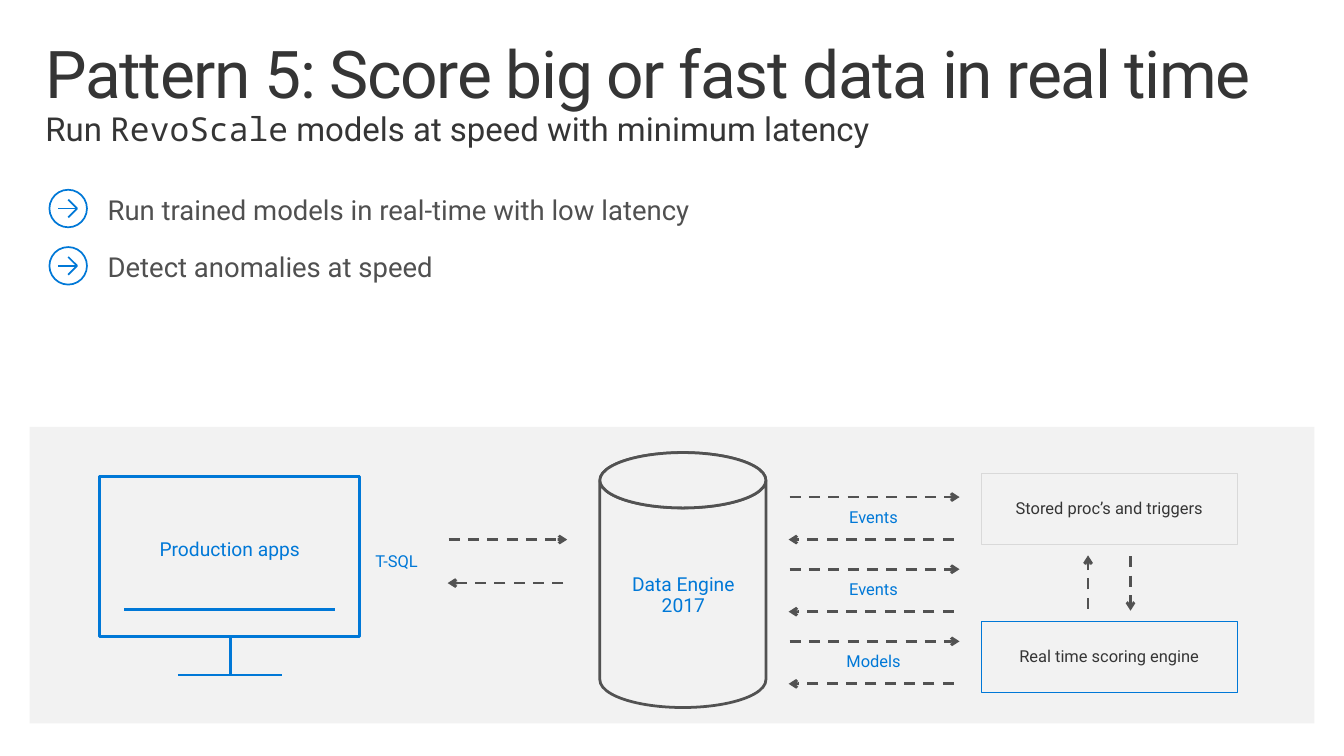
from lxml import etree
from pptx import Presentation
from pptx.dml.color import RGBColor
from pptx.enum.dml import MSO_LINE
from pptx.enum.shapes import MSO_CONNECTOR, MSO_SHAPE
from pptx.enum.text import MSO_ANCHOR, PP_ALIGN
from pptx.oxml.ns import qn
from pptx.util import Emu, Pt

# Content: lengths in px, 100 px to the inch
PX = 9144
SANS, MONO = "Roboto", "Noto Sans Mono"
BLUE, DARK, GREY, PANEL, PALE = "0078D7", "353535", "505050", "F2F2F2", "D9D9D9"
STROKE = "525252"

TITLE = "Pattern 5: Score big or fast data in real time"
SUBTITLE = [("Run ", SANS), ("RevoScale", MONO),
            (" models at speed with minimum latency", SANS)]
POINTS = ["Run trained models in real-time with low latency",
          "Detect anomalies at speed"]
EXCHANGES = ["Events", "Events", "Models"]
SERVICES = [("Stored proc’s and triggers", 479, PALE),
            ("Real time scoring engine", 629, BLUE)]
MONITOR = [
    [(101, 482), (364, 482), (364, 644), (101, 644), (101, 482), (364, 482)],
    [(233, 644), (233, 683)],
    [(180, 683), (285, 683)],
    [(126, 617), (339, 617)],
]

WIDE_INSETS = (20, 16)
HEADING_INSETS = (16, 10)
LABEL_INSETS = (10, 5)

deck = Presentation()
deck.slide_width, deck.slide_height = Emu(1360 * PX), Emu(765 * PX)
page = deck.slides.add_slide(deck.slide_layouts[6])


def color(hex_string):
    return RGBColor.from_string(hex_string)


def px(*lengths):
    return [Emu(length * PX) for length in lengths]


def paint(shape, fill=None, line=None, width=2):
    shape.shadow.inherit = False
    if fill:
        shape.fill.solid()
        shape.fill.fore_color.rgb = color(fill)
    else:
        shape.fill.background()
    if line:
        shape.line.color.rgb = color(line)
        shape.line.width = Pt(width)
    else:
        shape.line.fill.background()


def add_preset(kind, place, fill=None, line=None, width=2):
    shape = page.shapes.add_shape(kind, *px(*place))
    paint(shape, fill, line, width)
    return shape


def style(span, size, hex_string, font=SANS):
    span.font.size, span.font.name = Pt(size), font
    span.font.color.rgb = color(hex_string)


def set_frame(shape, insets, anchor):
    frame = shape.text_frame
    frame.word_wrap = True
    frame.vertical_anchor = anchor
    frame.margin_left = frame.margin_right = Emu(insets[0] * PX)
    frame.margin_top = frame.margin_bottom = Emu(insets[1] * PX)
    return frame


def write(shape, text, size, hex_string, insets, align=PP_ALIGN.CENTER,
          anchor=MSO_ANCHOR.MIDDLE):
    frame = set_frame(shape, insets, anchor)
    frame.text = text
    for para in frame.paragraphs:
        para.alignment, para.line_spacing = align, 0.9
        for span in para.runs:
            style(span, size, hex_string)
    return frame


def add_box(place):
    return page.shapes.add_textbox(*px(*place))


def add_strokes(strokes, line, width):
    (start, *rest), *others = strokes
    builder = page.shapes.build_freeform(*start, scale=PX)
    builder.add_line_segments(rest, close=False)
    for first, *following in others:
        builder.move_to(*first)
        builder.add_line_segments(following, close=False)
    paint(builder.convert_to_shape(), None, line, width)


def add_arrow(x1, y1, x2, y2):
    arrow = page.shapes.add_connector(MSO_CONNECTOR.STRAIGHT, *px(x1, y1, x2, y2))
    arrow.line.color.rgb = color(STROKE)
    arrow.line.width = Pt(2)
    arrow.line.dash_style = MSO_LINE.DASH
    properties = arrow._element.spPr
    etree.SubElement(properties.find(qn("a:ln")), qn("a:tailEnd"), type="arrow")
    etree.SubElement(properties, qn("a:effectLst"))


# Title and subtitle share one paragraph
frame = set_frame(add_box((30, 32, 1300, 100)), HEADING_INSETS, MSO_ANCHOR.TOP)
para = frame.paragraphs[0]
para.text = TITLE
para.line_spacing = 0.9
style(para.runs[0], 48, DARK)
para.runs[0].font._element.set("spc", "-100")
para.add_line_break()
for text, font in SUBTITLE:
    span = para.add_run()
    span.text = text
    style(span, 24, DARK, font)

# Points with circled arrows
frame = write(add_box((93, 189, 1300, 109)), "\n".join(POINTS), 20, GREY,
              HEADING_INSETS, PP_ALIGN.LEFT, MSO_ANCHOR.TOP)
for index, para in enumerate(frame.paragraphs):
    para.space_after = Pt(10)
    if index:
        para.space_before = Pt(10)
    top = 192 + 58 * index
    middle = top + 19
    add_preset(MSO_SHAPE.OVAL, (50, top, 38, 38), None, BLUE, 1.25)
    add_strokes([[(69, middle - 9), (78, middle), (69, middle + 9)],
                 [(59, middle), (78, middle)]], BLUE, 1.25)

# Diagram panel
add_preset(MSO_SHAPE.RECTANGLE, (30, 432, 1300, 300), PANEL)

# Production monitor and its query arrows
add_strokes(MONITOR, BLUE, 2)
write(add_box((130, 520, 205, 74)), "Production apps", 14, BLUE, WIDE_INSETS)
write(add_box((370, 528, 104, 82)), "T-SQL", 12, BLUE, LABEL_INSETS, PP_ALIGN.LEFT)
add_arrow(454, 546, 574, 546)
add_arrow(570, 590, 453, 590)

# Database cylinder with a flat-coloured lid
cylinder = add_preset(MSO_SHAPE.CAN, (607, 458, 168, 258), PANEL, STROKE)
cylinder.adjustments[0] = 56 / 168
add_preset(MSO_SHAPE.OVAL, (607, 458, 168, 56), PANEL, STROKE)
write(add_box((609, 535, 165, 135)), "Data Engine 2017", 14, BLUE, WIDE_INSETS)

# Exchanges between database and services
for index, label in enumerate(EXCHANGES):
    top = 503 + 73 * index
    add_arrow(799, top, 971, top)
    add_arrow(965, top + 43, 798, top + 43)
    write(add_box((832, top + 7, 104, 28)), label, 12, BLUE, LABEL_INSETS)

# Services and the arrows between them
for label, top, line in SERVICES:
    service = add_preset(MSO_SHAPE.RECTANGLE, (993, top, 259, 72), None, line, 0.75)
    write(service, label, 12, DARK, WIDE_INSETS)
add_arrow(1144, 563, 1144, 618)
add_arrow(1101, 616, 1101, 562)

deck.save("out.pptx")
